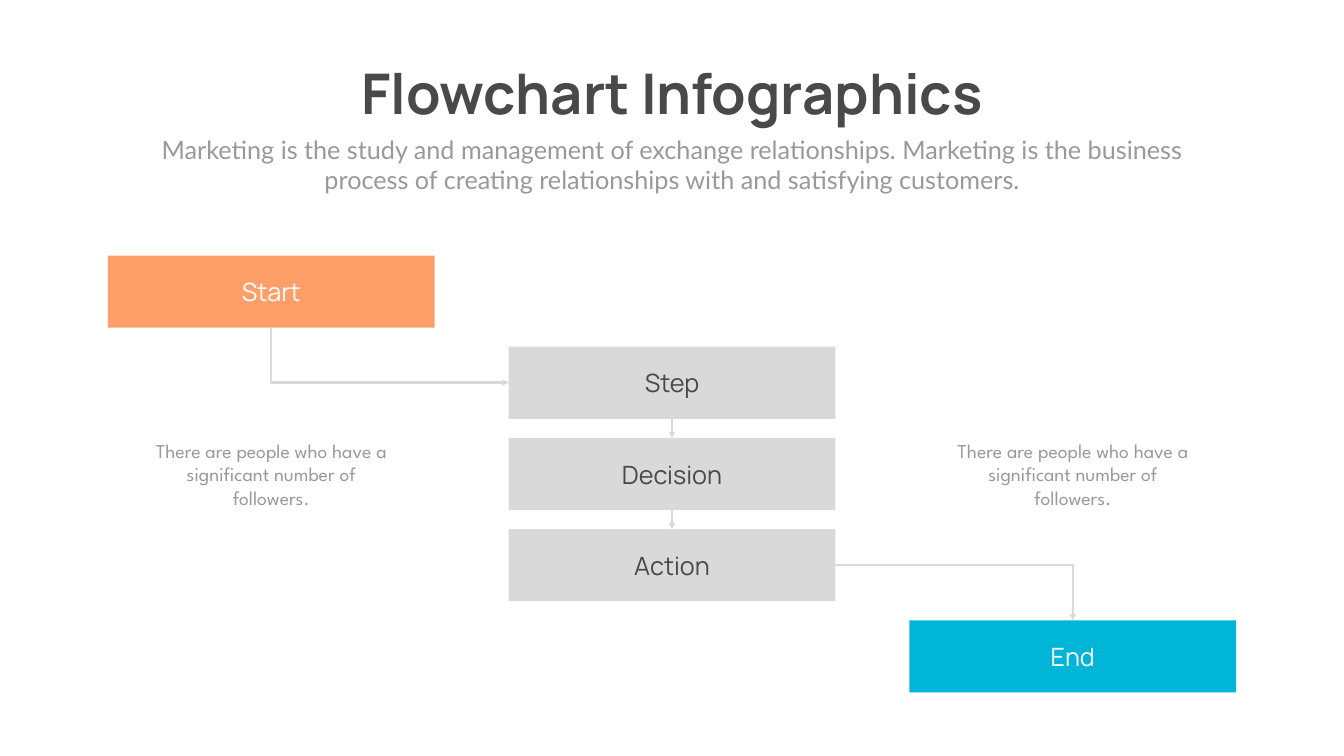
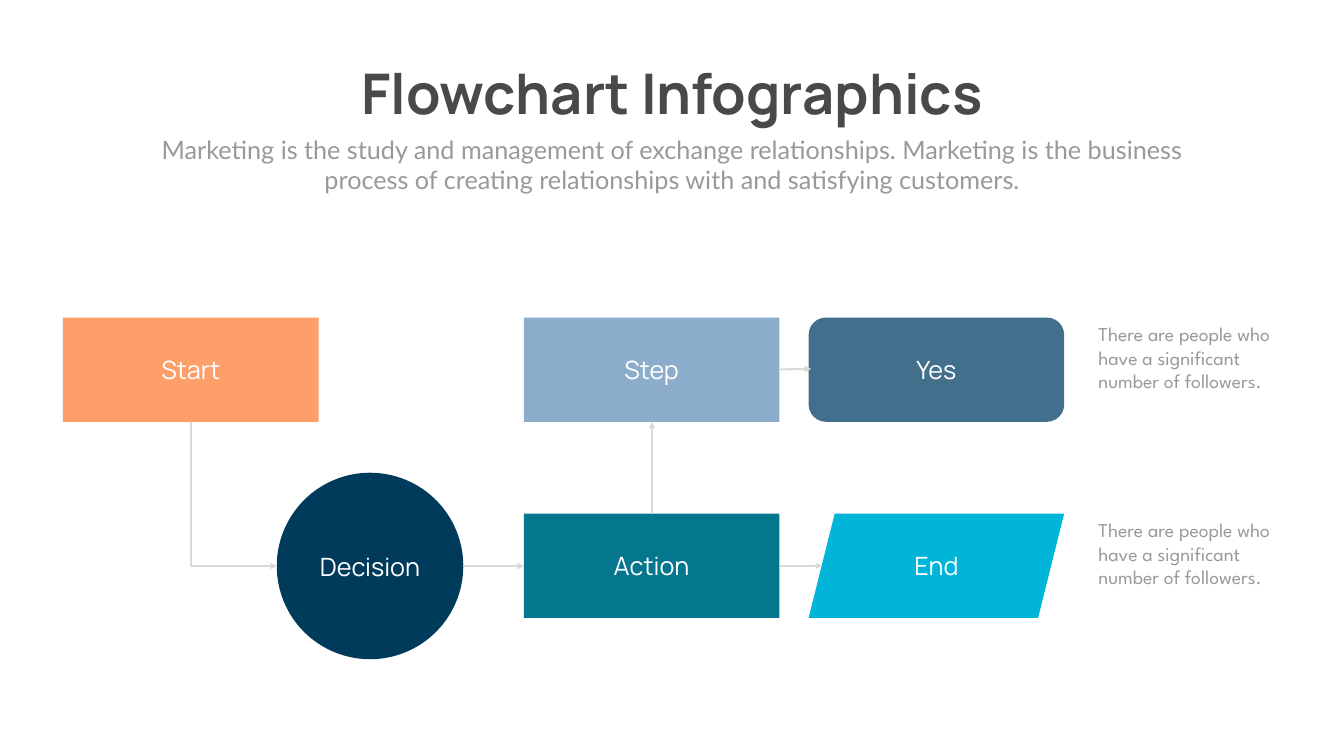
from pptx import Presentation
from pptx.dml.color import RGBColor
from pptx.enum.shapes import MSO_CONNECTOR as CONN, MSO_SHAPE as SHAPE
from pptx.enum.text import MSO_ANCHOR as ANCHOR, MSO_AUTO_SIZE as AUTO, PP_ALIGN as ALIGN
from pptx.oxml.ns import qn
from pptx.util import Emu, Pt
from lxml.etree import SubElement

PX = 9144
COLORS = {
    "background": "FFFFFF", "white": "FFFFFF", "dark": "494949",
    "muted": "999999", "line": "D9D9D9", "orange": "FE9F6A",
    "cyan": "00B5D8", "navy": "003B5B", "teal": "04768D",
    "sky": "8CACCC", "steel": "416F8C",
}
TITLE = "Flowchart Infographics"
SUBTITLE = ("Marketing is the study and management of exchange relationships. "
            "Marketing is the business process of creating relationships with "
            "and satisfying customers.")
NOTE = "There are people who have a significant number of followers."


def px(*values):
    return [Emu(round(v * PX)) for v in values]


def rgb(name):
    return RGBColor.from_string(COLORS[name])


def write(tf, text, size, font, color, align=ALIGN.CENTER, bold=False):
    p = tf.paragraphs[0]
    p.alignment = align
    r = p.add_run()
    r.text = text
    r.font.size = Pt(size)
    r.font.name = font
    r.font.bold = bold
    r.font.color.rgb = rgb(color)


def add_text(slide, box, text, size, font, align=ALIGN.CENTER):
    tf = slide.shapes.add_textbox(*px(*box)).text_frame
    tf.word_wrap = True
    tf.auto_size = AUTO.SHAPE_TO_FIT_TEXT
    write(tf, text, size, font, "muted", align)


def add_note(slide, box, align=ALIGN.CENTER):
    add_text(slide, box, NOTE, 28, "League Spartan", align)


def add_node(slide, box, text, fill, color="white", kind=SHAPE.RECTANGLE):
    sp = slide.shapes.add_shape(kind, *px(*box))
    sp.shadow.inherit = False
    sp.fill.solid()
    sp.fill.fore_color.rgb = rgb(fill)
    sp.line.fill.background()
    tf = sp.text_frame
    tf.vertical_anchor = ANCHOR.MIDDLE
    write(tf, text, 36, "Manrope", color)


def add_arrow(slide, start, end, kind=CONN.STRAIGHT):
    cxn = slide.shapes.add_connector(kind, *px(*start, *end))
    cxn.line.color.rgb = rgb("line")
    cxn.line.width = Pt(3)
    SubElement(cxn.line._get_or_add_ln(), qn("a:tailEnd"), type="triangle")
    SubElement(cxn._element.spPr, qn("a:effectLst"))
    return cxn


def add_elbow(slide, start, end, down_first=False):
    if down_first:
        (x1, y1), (x2, y2) = start, end
        cx, cy = (x1 + x2) / 2, (y1 + y2) / 2
        half_w, half_h = (y2 - y1) / 2, (x2 - x1) / 2
        start, end = (cx + half_w, cy - half_h), (cx - half_w, cy + half_h)
    cxn = add_arrow(slide, start, end, CONN.ELBOW)
    spPr = cxn._element.spPr
    spPr.find(qn("a:prstGeom")).set("prst", "bentConnector2")
    if down_first:
        spPr.find(qn("a:xfrm")).set("rot", "16200000")


def add_header(slide, box):
    x, y, w, h = box
    title = slide.shapes.title
    title.left, title.top, title.width, title.height = px(x + 363, y, 1357, 145)
    tf = title.text_frame
    tf.word_wrap = False
    tf.auto_size = AUTO.SHAPE_TO_FIT_TEXT
    tf.vertical_anchor = ANCHOR.TOP
    write(tf, TITLE, 80, "Manrope", "dark", bold=True)
    add_text(slide, (x, y + 149, w, h - 149), SUBTITLE, 36, "Lato")


def add_slide(prs):
    slide = prs.slides.add_slide(prs.slide_layouts[5])
    slide.background.fill.solid()
    slide.background.fill.fore_color.rgb = rgb("background")
    add_header(slide, (292, 112, 2082, 280))
    return slide


def staircase(slide, box):
    x, y, w, h = box
    node_w, node_h = 648, 143
    left, middle, right = [x + i * (w - node_w) // 2 for i in range(3)]
    rows = [y + i * (h - node_h) // 4 for i in range(5)]
    nodes = [
        (left, "Start", "orange", "white"),
        (middle, "Step", "line", "dark"),
        (middle, "Decision", "line", "dark"),
        (middle, "Action", "line", "dark"),
        (right, "End", "cyan", "white"),
    ]
    for top, (col, text, fill, color) in zip(rows, nodes):
        add_node(slide, (col, top, node_w, node_h), text, fill, color)

    half_w, half_h = node_w // 2, node_h // 2
    add_elbow(slide, (left + half_w, rows[0] + node_h),
              (middle, rows[1] + half_h), down_first=True)
    for upper, lower in zip(rows[1:3], rows[2:4]):
        add_arrow(slide, (middle + half_w, upper + node_h), (middle + half_w, lower))
    add_elbow(slide, (middle + node_w, rows[3] + half_h), (right + half_w, rows[4]))
    for col in (right, left):
        add_note(slide, (col + 76, y + 358, 496, 151))


def branching(slide, box):
    x, y, w, h = box
    node_w, node_h, circle = 507, 207, 370
    half_w, half_h = node_w // 2, node_h // 2
    middle, right = x + 914, x + 1479
    low = y + 389
    axis = low + half_h + 1
    circle_x = x + 424
    nodes = [
        ((x, y, node_w, node_h), "Start", "orange", SHAPE.RECTANGLE),
        ((circle_x, y + h - circle, circle, circle), "Decision", "navy", SHAPE.OVAL),
        ((middle, low, node_w, node_h), "Action", "teal", SHAPE.RECTANGLE),
        ((middle, y, node_w, node_h), "Step", "sky", SHAPE.RECTANGLE),
        ((right, y, node_w, node_h), "Yes", "steel", SHAPE.ROUNDED_RECTANGLE),
        ((right, low, node_w, node_h), "End", "cyan", SHAPE.PARALLELOGRAM),
    ]
    for node_box, text, fill, kind in nodes:
        add_node(slide, node_box, text, fill, kind=kind)

    middle_end = middle + node_w + 1
    arrows = [
        ((circle_x + circle, axis), (middle, axis)),
        ((middle_end, y + half_h), (right + 5, y + half_h - 1)),
        ((middle_end, axis), (right + 27, axis)),
        ((middle + half_w + 1, low), (middle + half_w + 1, y + node_h)),
    ]
    for start, end in arrows:
        add_arrow(slide, start, end)
    add_elbow(slide, (x + half_w, y + node_h), (circle_x, axis), down_first=True)
    for top in (y, low):
        add_note(slide, (x + w - 393, top + 4, 393, 199), ALIGN.LEFT)


def main():
    prs = Presentation()
    prs.slide_width, prs.slide_height = px(2666, 1500)
    staircase(add_slide(prs), (214, 507, 2238, 867))
    branching(add_slide(prs), (125, 630, 2437, 678))
    prs.save("out.pptx")


if __name__ == "__main__":
    main()
